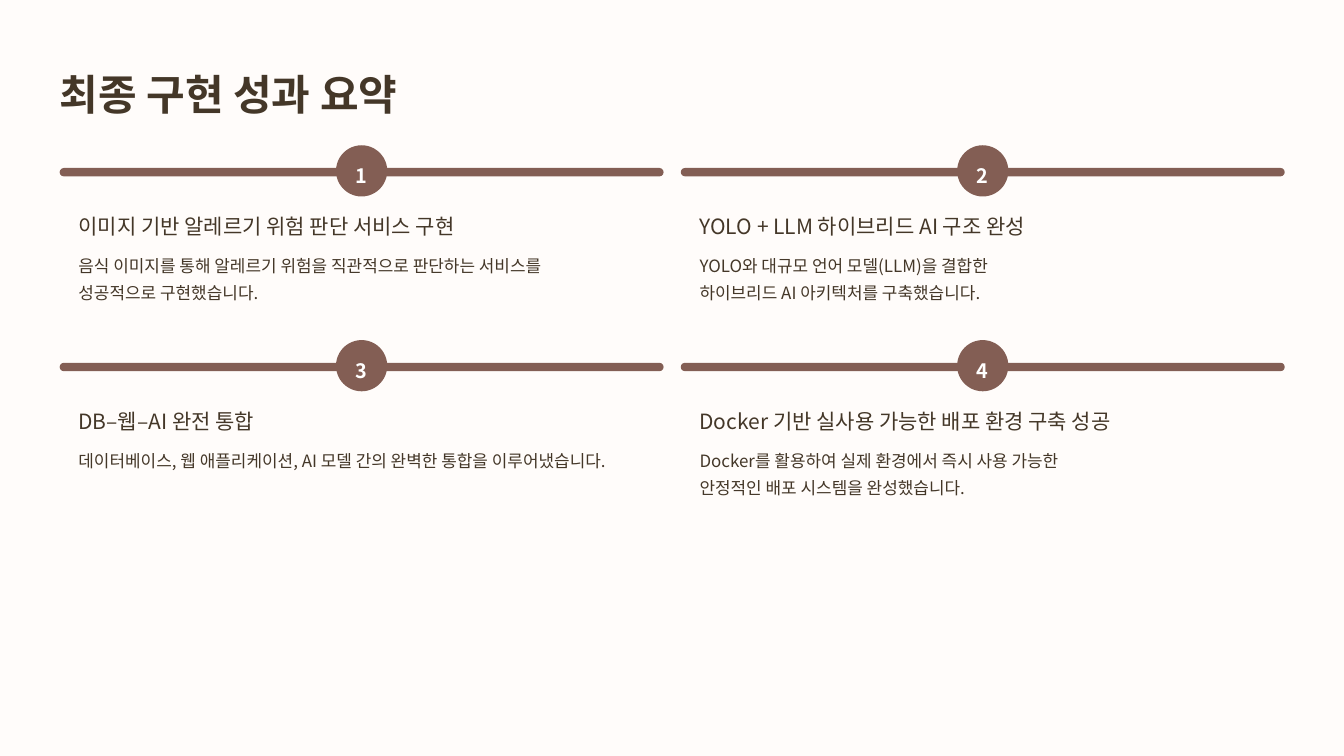
"""Build a summary slide with four numbered result cards in a two by two grid."""
from lxml.etree import SubElement
from pptx import Presentation
from pptx.dml.color import RGBColor
from pptx.enum.shapes import MSO_SHAPE
from pptx.enum.text import PP_ALIGN
from pptx.oxml.ns import qn
from pptx.util import Pt

FONT = "Noto Sans CJK KR"
CREAM, BROWN, INK, WHITE = "FFFCFA", "835E54", "443728", "FFFFFF"
LEFT, TOP = 51.1, 144
COLUMN_STEP, ROW_STEP = 532.4, 167
CARD_WIDTH, TEXT_WIDTH, BADGE_SIZE = 517.7, 485.3, 43.9
RESULTS = [
    ("이미지 기반 알레르기 위험 판단 서비스 구현",
     ["음식 이미지를 통해 알레르기 위험을 직관적으로 판단하는 서비스를", "성공적으로 구현했습니다."]),
    ("YOLO + LLM 하이브리드 AI 구조 완성",
     ["YOLO와 대규모 언어 모델(LLM)을 결합한", "하이브리드 AI 아키텍처를 구축했습니다."]),
    ("DB–웹–AI 완전 통합",
     ["데이터베이스, 웹 애플리케이션, AI 모델 간의 완벽한 통합을 이루어냈습니다."]),
    ("Docker 기반 실사용 가능한 배포 환경 구축 성공",
     ["Docker를 활용하여 실제 환경에서 즉시 사용 가능한", "안정적인 배포 시스템을 완성했습니다."]),
]


def add_panel(left, top, width, height, color, rounding):
    panel = page.shapes.add_shape(
        MSO_SHAPE.ROUNDED_RECTANGLE, Pt(left), Pt(top), Pt(width), Pt(height))
    panel.adjustments[0] = rounding
    panel.shadow.inherit = False
    panel.fill.solid()
    panel.fill.fore_color.rgb = RGBColor.from_string(color)
    panel.line.fill.background()


def add_text(left, top, width, height, lines, size, spacing,
             color=INK, bold=False, align=PP_ALIGN.LEFT, wrap=False):
    box = page.shapes.add_textbox(Pt(left), Pt(top), Pt(width), Pt(height))
    frame = box.text_frame
    frame.margin_left = frame.margin_right = frame.margin_top = frame.margin_bottom = 0
    frame.word_wrap = wrap
    frame.text = "\n".join(lines)
    for para in frame.paragraphs:
        para.alignment = align
        para.line_spacing = Pt(spacing)
        for span in para.runs:
            span.font.size = Pt(size)
            span.font.bold = bold
            span.font.color.rgb = RGBColor.from_string(color)
            span.font.name = FONT
            SubElement(span.font._element, qn("a:ea"), typeface=FONT)


deck = Presentation()
deck.slide_width, deck.slide_height = Pt(1152), Pt(648)
page = deck.slides.add_slide(deck.slide_layouts[6])
page.background.fill.solid()
page.background.fill.fore_color.rgb = RGBColor.from_string(CREAM)

add_text(LEFT, 56.9, 363.6, 45.4, ["최종 구현 성과 요약"], 36, 45, bold=True)

for index, (heading, details) in enumerate(RESULTS):
    row, column = divmod(index, 2)
    left = LEFT + column * COLUMN_STEP
    top = TOP + row * ROW_STEP
    center = left + CARD_WIDTH / 2
    add_panel(left, top + 2.2, CARD_WIDTH, 130.3, CREAM, 0.07)
    add_panel(left, top, CARD_WIDTH, 7.2, BROWN, 0.5)
    add_panel(center - BADGE_SIZE / 2, top - 19.5, BADGE_SIZE, BADGE_SIZE, BROWN, 0.5)
    add_text(center - 8.7, top - 10.8, 17.3, 21.6, [str(index + 1)], 17, 27.5,
             WHITE, bold=True, align=PP_ALIGN.CENTER)
    add_text(left + 16.1, top + 38.2, TEXT_WIDTH, 23, [heading], 18, 22.5)
    add_text(left + 16.1, top + 69.8, TEXT_WIDTH, 23.4 * len(details), details, 14.5, 23,
             wrap=len(details) > 1)

deck.save("out.pptx")
